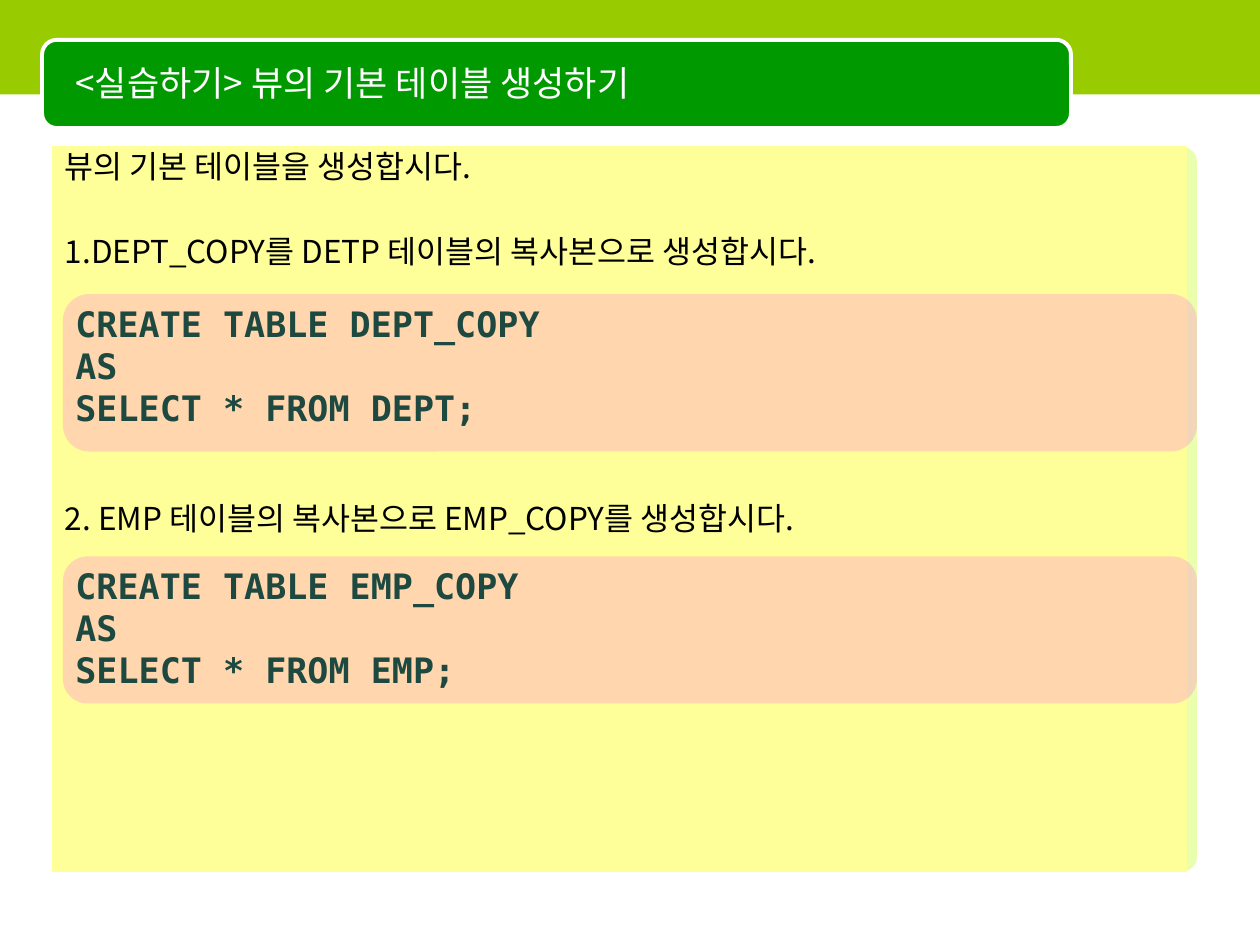
from lxml import etree
from pptx import Presentation
from pptx.dml.color import RGBColor
from pptx.enum.shapes import MSO_SHAPE
from pptx.enum.text import MSO_ANCHOR, PP_ALIGN
from pptx.oxml.ns import qn
from pptx.util import Inches, Pt

RECT, ROUND = MSO_SHAPE.RECTANGLE, MSO_SHAPE.ROUNDED_RECTANGLE
TOP, MIDDLE = MSO_ANCHOR.TOP, MSO_ANCHOR.MIDDLE
LEFT = PP_ALIGN.LEFT
COLORS = {
    "lime": "99CC00", "edge": "CCFF33", "green": "009900", "white": "FFFFFF",
    "yellow": "FFFF99", "pink": "FF99CC", "black": "000000", "code": "1D4940",
}
KOREAN, MONO = "Noto Sans CJK KR", "DejaVu Sans Mono"
TITLE_FONT = {"name": KOREAN, "size": Pt(20), "bold": False}
BODY_FONT = {"name": KOREAN, "size": Pt(18), "bold": False}
CODE_FONT = {"name": MONO, "size": Pt(20), "bold": True}

prs = Presentation()
prs.slide_width, prs.slide_height = Inches(10), Inches(7.5)
slide = prs.slides.add_slide(prs.slide_layouts[6])
CELL = prs.slide_width / 120


def add_panel(shapes, kind, grid, fill, line=None, width=0, corner=None, alpha=None):
    panel = shapes.add_shape(kind, *[round(n * CELL) for n in grid])
    panel.shadow.inherit = False
    panel.fill.solid()
    panel.fill.fore_color.rgb = RGBColor.from_string(COLORS[fill])
    if corner is not None:
        panel.adjustments[0] = corner
    if alpha is not None:
        color = panel.fill._xPr.find(qn("a:solidFill"))[0]
        etree.SubElement(color, qn("a:alpha")).set("val", str(alpha * 1000))
    if line:
        panel.line.color.rgb = RGBColor.from_string(COLORS[line])
        panel.line.width = Pt(width)
    else:
        panel.line.fill.background()
    return panel


def write_lines(frame, lines, font, color, anchor=TOP, spacing=1.0, gaps=(0, 0, 0)):
    frame.word_wrap = True
    frame.vertical_anchor = anchor
    for index, (line, gap) in enumerate(zip(lines, gaps)):
        paragraph = frame.paragraphs[0] if index == 0 else frame.add_paragraph()
        layout = {"alignment": LEFT, "line_spacing": spacing, "space_before": Pt(gap)}
        for key, value in layout.items():
            setattr(paragraph, key, value)
        run = paragraph.add_run()
        run.text = line
        for key, value in font.items():
            setattr(run.font, key, value)
        run.font.color.rgb = RGBColor.from_string(COLORS[color])
        etree.SubElement(run._r.get_or_add_rPr(), qn("a:ea")).set("typeface", font["name"])


add_panel(slide.shapes, ROUND, (6, 14, 108, 69), "edge", corner=0.02, alpha=40)
add_panel(slide.shapes, RECT, (0, 0, 120, 9), "lime")
add_panel(slide.shapes, ROUND, (4, 3.8, 98, 8.4), "green", "white", 2.25)

title = slide.shapes.add_textbox(*[round(n * CELL) for n in (6, 4.2, 95, 7.4)])
write_lines(title.text_frame, ["<실습하기> 뷰의 기본 테이블 생성하기"], TITLE_FONT, "white", MIDDLE)

body = add_panel(slide.shapes, RECT, (5, 14, 108, 69), "yellow", "yellow", 0.75)
instructions = [
    "뷰의 기본 테이블을 생성합시다.",
    "1.DEPT_COPY를 DETP 테이블의 복사본으로 생성합시다.",
    "2. EMP 테이블의 복사본으로 EMP_COPY를 생성합시다.",
]
write_lines(body.text_frame, instructions, BODY_FONT, "black", spacing=0.83, gaps=(0, 30.6, 135))

for table, row, height in (("DEPT", 28, 15), ("EMP", 53, 14)):
    example = slide.shapes.add_group_shape()
    add_panel(example.shapes, ROUND, (6, row, 108, height), "pink", alpha=40)
    code = example.shapes.add_textbox(*[round(n * CELL) for n in (6, row + 0.2, 108, 13.2)])
    statement = [f"CREATE TABLE {table}_COPY", "AS", f"SELECT * FROM {table};"]
    write_lines(code.text_frame, statement, CODE_FONT, "code", spacing=Pt(24))

prs.save("out.pptx")
